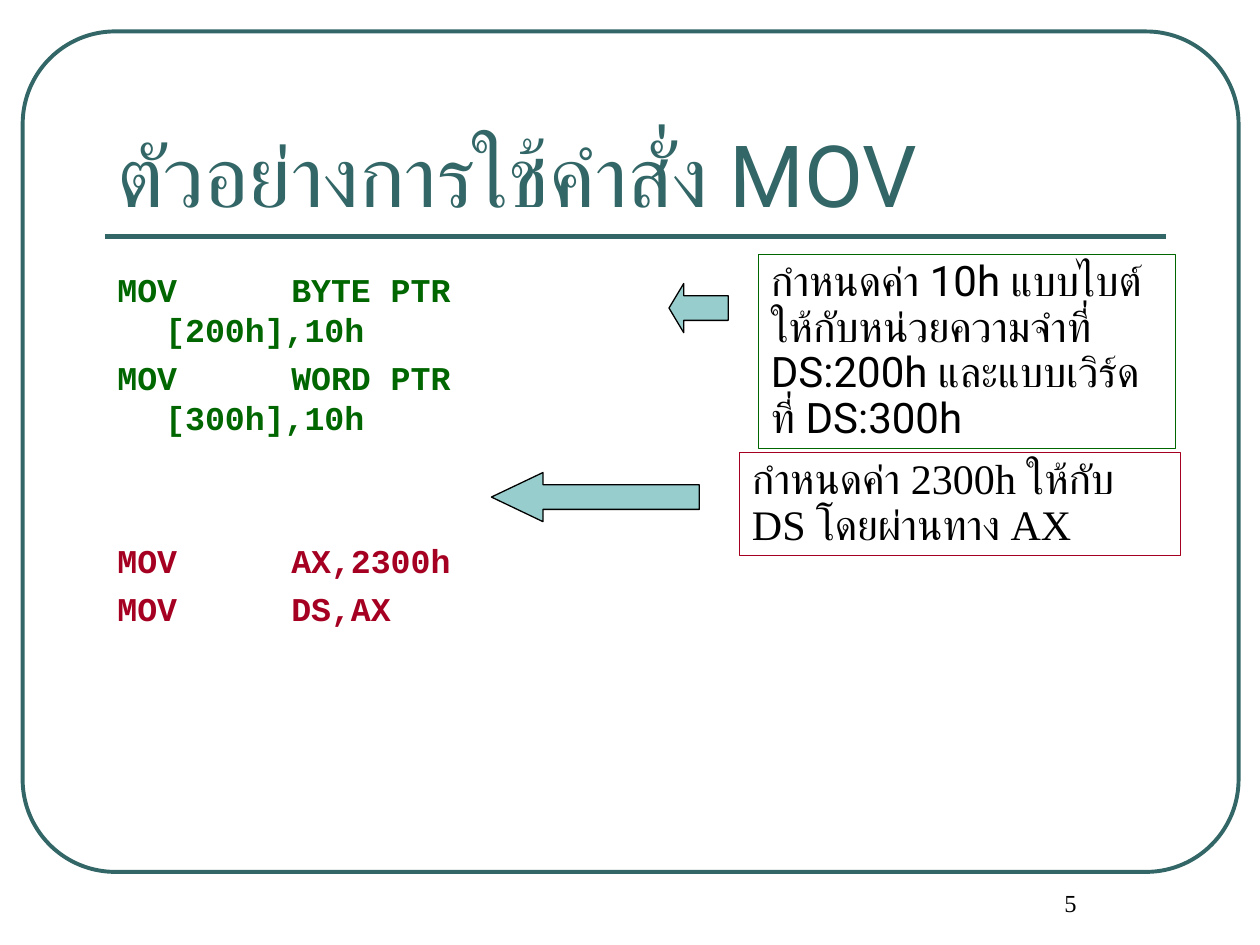
from dataclasses import dataclass

import pptx
import pptx.util
import pptx.dml.color
import pptx.enum.shapes
import pptx.enum.text
import pptx.oxml
import pptx.oxml.ns
from lxml import etree

Inches, Pt = pptx.util.Inches, pptx.util.Pt
SHAPES = pptx.enum.shapes.MSO_SHAPE
ALIGN = pptx.enum.text.PP_ALIGN
ANCHOR = pptx.enum.text.MSO_ANCHOR
AUTOSIZE = pptx.enum.text.MSO_AUTO_SIZE

WIDTH, HEIGHT = 10, 7.5
MARGIN = WIDTH / 12  # left edge shared by title, rule and code


@dataclass(frozen=True)
class Theme:
    teal: str = "336666"
    aqua: str = "97CDCC"
    green: str = "006600"
    red: str = "A50021"
    black: str = "000000"
    sans: str = "Roboto"
    serif: str = "Times New Roman"
    mono: str = "Courier New"
    title_size: int = 49
    note_size: int = 24
    code_size: int = 19
    number_size: int = 14


THEME = Theme()


def rgb(value):
    return pptx.dml.color.RGBColor.from_string(value)


def style_runs(paragraph, font, size, color, bold=False):
    for run in paragraph.runs:
        run.font.name = font
        run.font.size = Pt(size)
        run.font.color.rgb = rgb(color)
        run.font.bold = bold


def add_outline(slide, preset, box, line, weight, fill=None):
    shape = slide.shapes.add_shape(preset, *map(Inches, box))
    shape.shadow.inherit = False
    shape.line.color.rgb = rgb(line)
    shape.line.width = Pt(weight)
    if fill:
        shape.fill.solid()
        shape.fill.fore_color.rgb = rgb(fill)
    else:
        shape.fill.background()
    return shape


def add_text(slide, box, text, font, size, color):
    frame = slide.shapes.add_textbox(*map(Inches, box)).text_frame
    frame.word_wrap = True
    frame.text = text
    style_runs(frame.paragraphs[0], font, size, color)
    return frame


def add_rule(slide, left, right, top):
    rule = slide.shapes.add_connector(
        pptx.enum.shapes.MSO_CONNECTOR.STRAIGHT,
        Inches(left), Inches(top), Inches(right), Inches(top))
    rule.line.color.rgb = rgb(THEME.teal)
    rule.line.width = Pt(3)
    etree.SubElement(rule._element.spPr, pptx.oxml.ns.qn("a:effectLst"))


def set_hanging_tab(paragraph, indent, tab):
    properties = paragraph._p.get_or_add_pPr()
    properties.set("marL", str(Inches(indent)))
    properties.set("indent", str(-Inches(indent)))
    properties.set("defTabSz", str(Inches(tab)))


def add_code(slide, box, lines):
    frame = slide.shapes.add_textbox(*map(Inches, box)).text_frame
    frame.word_wrap = True
    frame.text = "\n".join(code for code, _, _ in lines)
    for paragraph, (_, color, space) in zip(frame.paragraphs, lines):
        paragraph.space_before = Pt(space)
        set_hanging_tab(paragraph, indent=0.38, tab=1)
        style_runs(paragraph, THEME.mono, THEME.code_size, color, bold=True)


def add_note(slide, box, text, font, color):
    frame = add_outline(slide, SHAPES.RECTANGLE, box, color, 0.75).text_frame
    frame.word_wrap = True
    frame.auto_size = AUTOSIZE.SHAPE_TO_FIT_TEXT
    frame.vertical_anchor = ANCHOR.TOP
    frame.text = text
    paragraph = frame.paragraphs[0]
    paragraph.alignment = ALIGN.LEFT
    paragraph.line_spacing = 0.9
    style_runs(paragraph, font, THEME.note_size, THEME.black)


def add_arrow(slide, left, top, width, head):
    arrow = add_outline(slide, SHAPES.LEFT_ARROW, (left, top, width, 0.39),
                        THEME.black, 0.75, THEME.aqua)
    arrow.adjustments[0] = 0.5
    arrow.adjustments[1] = head


def main():
    deck = pptx.Presentation()
    deck.slide_width, deck.slide_height = Inches(WIDTH), Inches(HEIGHT)
    slide = deck.slides.add_slide(deck.slide_layouts[6])
    content_width = WIDTH * 0.842

    # Frame and title
    border = add_outline(slide, SHAPES.ROUNDED_RECTANGLE,
                         (0.18, 0.25, 9.65, 6.67), THEME.teal, 2.25)
    border.adjustments[0] = 0.11
    add_rule(slide, MARGIN, MARGIN + content_width, HEIGHT / 4)
    title = add_text(slide, (MARGIN, 0.58, content_width, HEIGHT / 6),
                     "ตัวอย่างการใช้คำสั่ง MOV",
                     THEME.sans, THEME.title_size, THEME.teal)
    title.vertical_anchor = ANCHOR.BOTTOM

    # Code: memory writes, then the segment register after a wide gap
    line_gap, group_gap = 4.8, 58.5
    add_code(slide, (MARGIN, 2.09, 4.32, 4.42), [
        ("MOV\tBYTE PTR [200h],10h", THEME.green, line_gap),
        ("MOV\tWORD PTR [300h],10h", THEME.green, line_gap),
        ("MOV\tAX,2300h", THEME.red, group_gap),
        ("MOV\tDS,AX", THEME.red, line_gap),
    ])

    # Explanations with their arrows
    add_note(slide, (6.02, 2.02, 3.31, 1.54),
             "กำหนดค่า 10h แบบไบต์ให้กับหน่วยความจำที่ DS:200h และแบบเวิร์ดที่ DS:300h",
             THEME.sans, THEME.green)
    add_arrow(slide, 5.31, 2.25, 0.47, head=0.3)
    add_note(slide, (5.87, 3.59, 3.5, 0.82),
             "กำหนดค่า 2300h ให้กับ DS โดยผ่านทาง AX",
             THEME.serif, THEME.red)
    add_arrow(slide, 3.9, 3.75, 1.65, head=1.05)

    # Page number
    number = add_text(slide, (7.5, 7, 1.75, 0.5), "5",
                      THEME.serif, THEME.number_size, THEME.black)
    number.paragraphs[0].alignment = ALIGN.CENTER
    number.paragraphs[0]._p.get_or_add_pPr().set("marL", str(Inches(0.24)))

    deck.save("out.pptx")


if __name__ == "__main__":
    main()
